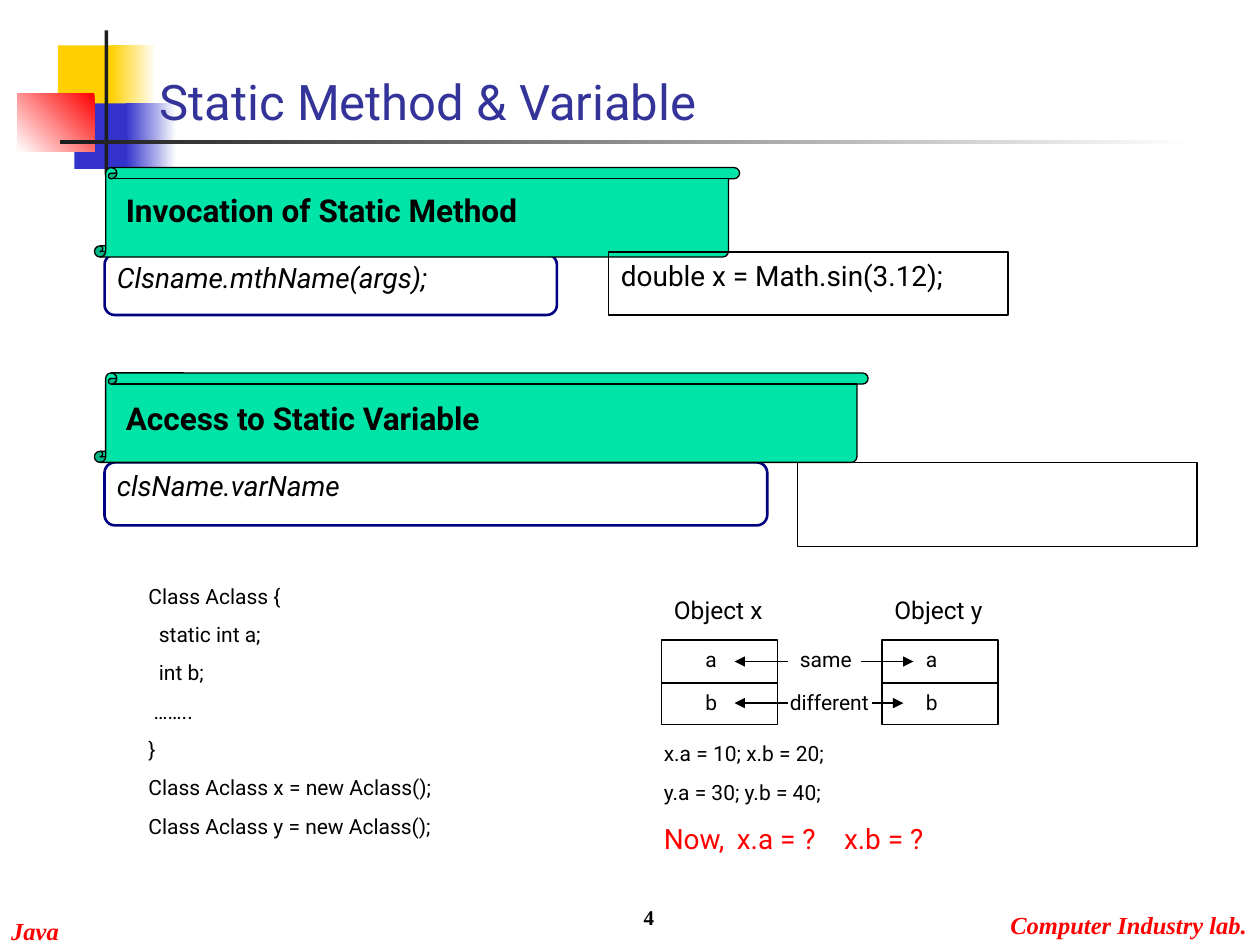
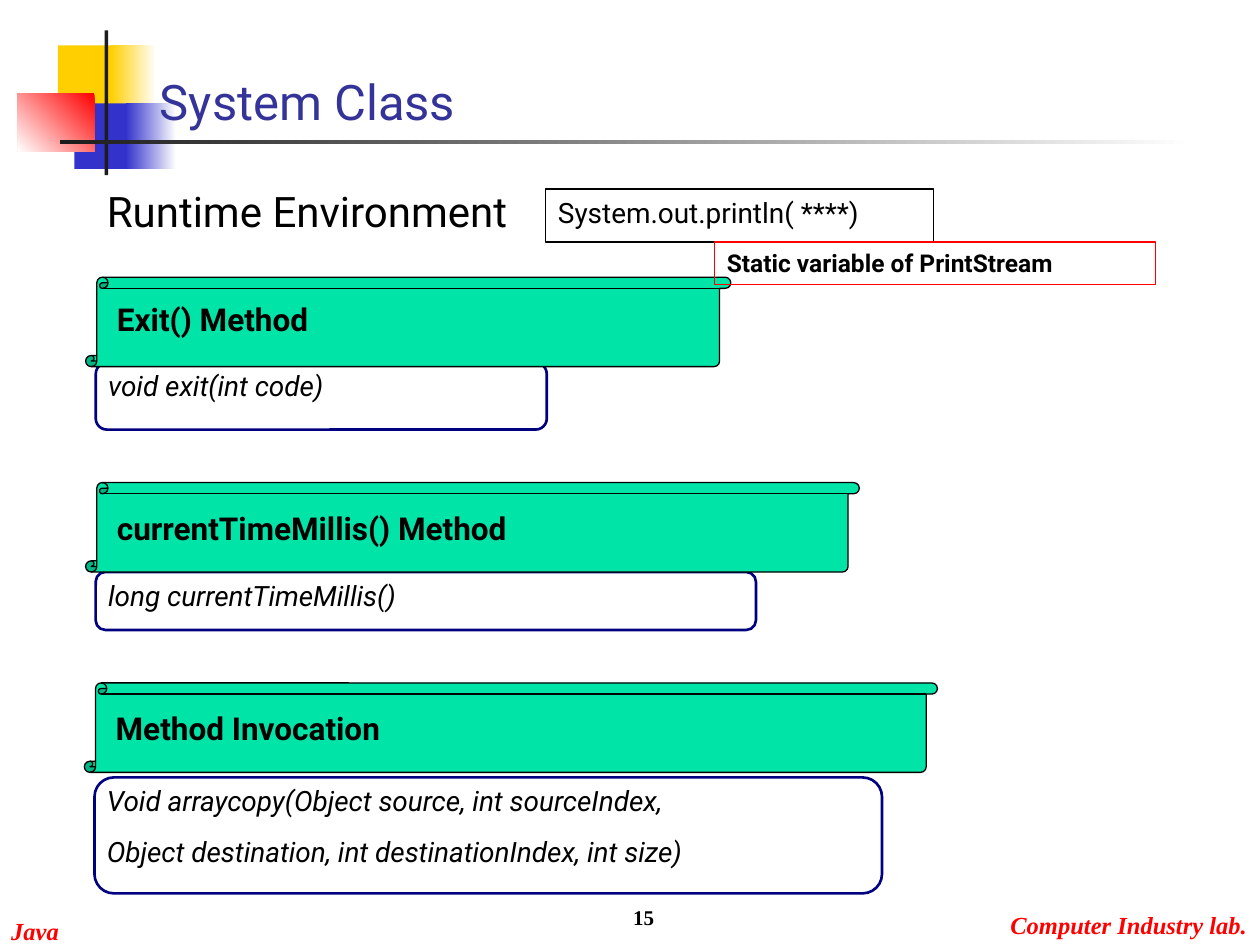
from pptx import Presentation
from pptx.dml.color import RGBColor
from pptx.enum.shapes import MSO_CONNECTOR, MSO_SHAPE as SHAPE
from pptx.enum.text import MSO_ANCHOR as ANCHOR, PP_ALIGN as ALIGN
from pptx.oxml.ns import qn
from pptx.util import Inches, Pt
from lxml.etree import SubElement

BLACK = RGBColor(0x00, 0x00, 0x00)
WHITE = RGBColor(0xFF, 0xFF, 0xFF)
RED = RGBColor(0xFF, 0x00, 0x00)
YELLOW = RGBColor(0xFF, 0xCF, 0x01)
BLUE = RGBColor(0x33, 0x33, 0xCC)
TITLE_BLUE = RGBColor(0x33, 0x33, 0x99)
NAVY = RGBColor(0x00, 0x00, 0x80)
CHARCOAL = RGBColor(0x1C, 0x1C, 0x1C)
GREEN = RGBColor(0x00, 0xE4, 0xA8)
SANS, SERIF = "Roboto", "Times New Roman"


def add_shape(slide, kind, at, fill=None, line=None, line_width=0.75, angle=None):
    """Add a preset shape; fill is one colour, or two colours with an angle."""
    shape = slide.shapes.add_shape(kind, *map(Inches, at))
    shape.shadow.inherit = False
    if fill is None:
        shape.fill.background()
    elif angle is None:
        shape.fill.solid()
        shape.fill.fore_color.rgb = fill
    else:
        shape.fill.gradient()
        shape.fill.gradient_angle = angle
        for stop, color in zip(shape.fill.gradient_stops, fill):
            stop.color.rgb = color
    if line is None:
        shape.line.fill.background()
    else:
        shape.line.color.rgb = line
        shape.line.width = Pt(line_width)
    return shape


def add_text(slide, at, lines, size, color=BLACK, font=SANS, bold=False, italic=False,
             align=ALIGN.LEFT, anchor=ANCHOR.TOP, wrap=True):
    """Add a text box; later lines get space in proportion to their size."""
    box = slide.shapes.add_textbox(*map(Inches, at))
    frame = box.text_frame
    frame.word_wrap = wrap
    frame.vertical_anchor = anchor
    frame.text = "\n".join(lines)
    for index, paragraph in enumerate(frame.paragraphs):
        paragraph.alignment = align
        if index:
            paragraph.space_before = Pt(size * 0.625)
        paragraph.font.size = Pt(size)
        paragraph.font.name = font
        paragraph.font.color.rgb = color
        paragraph.font.bold = bold
        paragraph.font.italic = italic
    return box


presentation = Presentation()
presentation.slide_width, presentation.slide_height = Inches(10), Inches(7.5)

# Decoration on every slide: place, fill, gradient angle
DECORATION = [
    ((0.46, 0.36, 0.48, 0.52), YELLOW, None),
    ((0.88, 0.36, 0.36, 0.52), (WHITE, YELLOW), 180),
    ((0.59, 0.82, 0.46, 0.52), BLUE, None),
    ((1, 0.82, 0.4, 0.52), (WHITE, BLUE), 180),
    ((0.14, 0.74, 0.61, 0.46), (RED, WHITE), 225),
    ((0.83, 0.24, 0.03, 1.15), CHARCOAL, None),
    ((0.48, 1.11, 9, 0.03), (WHITE, CHARCOAL), 180),
]
FOOTERS = [("Java", (-0.01, 7.22, 0.58, 0.34)),
           ("Computer Industry lab.", (7.92, 7.17, 2.08, 0.34))]

# Sections: heading, its top, scroll (left, top, width), signature box, signature
PAGES = [
    ("Static Method & Variable", "4", [
        ("Invocation of Static Method", 1.47, (0.75, 1.33, 5.12),
         (0.83, 2.02, 3.59, 0.48), ["Clsname.mthName(args);"]),
        ("Access to Static Variable", 3.12, (0.75, 2.96, 6.14),
         (0.83, 3.67, 5.26, 0.5), ["clsName.varName"]),
    ]),
    ("System Class", "15", [
        ("Exit() Method", 2.33, (0.68, 2.2, 5.12),
         (0.76, 2.88, 3.58, 0.53), ["void exit(int code)"]),
        ("currentTimeMillis() Method", 3.99, (0.68, 3.83, 6.14),
         (0.76, 4.54, 5.24, 0.46), ["long currentTimeMillis()"]),
        ("Method Invocation", 5.58, (0.67, 5.42, 6.77),
         (0.75, 6.17, 6.25, 0.92),
         ["Void arraycopy(Object source, int sourceIndex,",
          "Object destination, int destinationIndex, int size)"]),
    ]),
]

# Frame, title, number and sections of both slides
for title, number, sections in PAGES:
    slide = presentation.slides.add_slide(presentation.slide_layouts[6])
    for place, fill, angle in DECORATION:
        add_shape(slide, SHAPE.RECTANGLE, place, fill, angle=angle)
    for footer, place in FOOTERS:
        add_text(slide, place, [footer], 14, RED, SERIF, bold=True, italic=True, wrap=False)
    add_text(slide, (1.17, 0.5, 8.08, 0.58), [title], 28, TITLE_BLUE, anchor=ANCHOR.BOTTOM)
    add_text(slide, (3.21, 6.93, 2.08, 0.5), [number], 12, font=SERIF, bold=True,
             align=ALIGN.RIGHT, anchor=ANCHOR.BOTTOM)
    for heading, heading_top, (left, top, width), box, signature in sections:
        add_shape(slide, SHAPE.ROUNDED_RECTANGLE, box, line=NAVY, line_width=1.5)
        add_text(slide, box, signature, 16, italic=True)
        add_shape(slide, SHAPE.VERTICAL_SCROLL, (left, top, width, 0.71), GREEN, BLACK)
        add_text(slide, (left + 0.15, heading_top, width - 0.24, 0.4), [heading], 18, bold=True)

static_slide, system_slide = presentation.slides

# Static slide: example boxes
add_text(static_slide, (4.83, 2, 3.15, 0.37), ["double x = Math.sin(3.12);"], 16)
for place in [(4.83, 2, 3.17, 0.5), (6.33, 3.67, 3.17, 0.67)]:
    add_shape(static_slide, SHAPE.RECTANGLE, place, line=BLACK)

# Static slide: class listing
add_text(static_slide, (1.08, 4.58, 2.75, 2.43), [
    "Class Aclass {",
    "  static int a;",
    "  int b;",
    " ……..",
    "}",
    "Class Aclass x = new Aclass();",
    "Class Aclass y = new Aclass();",
], 12)

# Static slide: the two objects and their fields
connections = []
for name, left in [("Object x", 5.25), ("Object y", 7)]:
    add_shape(static_slide, SHAPE.RECTANGLE, (left, 5.08, 0.92, 0.67), line=BLACK)
    add_text(static_slide, (left, 4.67, 0.92, 0.57), [name], 14)
    connections.append((left, 5.42, left + 0.92, False))
    for field, top in [("a", 5.08), ("b", 5.42)]:
        add_text(static_slide, (left + 0.25, top, 0.33, 0.3), [field], 12)
add_text(static_slide, (6.25, 5.08, 0.75, 0.3), ["same"], 12)
add_text(static_slide, (6.17, 5.42, 0.83, 0.3), ["different"], 12)

# Static slide: field dividers and arrows (start, height, end, arrowhead)
connections += [(6.25, 5.25, 5.83, True), (6.83, 5.25, 7.25, True),
                (6.25, 5.58, 5.83, True), (6.92, 5.58, 7.17, True)]
for start, height, end, has_arrow in connections:
    connector = static_slide.shapes.add_connector(
        MSO_CONNECTOR.STRAIGHT, Inches(start), Inches(height), Inches(end), Inches(height))
    connector.line.color.rgb = BLACK
    connector.line.width = Pt(0.75)
    if has_arrow:
        SubElement(connector.line._get_or_add_ln(), qn("a:tailEnd"), type="triangle")
    SubElement(connector._element.spPr, qn("a:effectLst"))

# Static slide: assignments and question
quiz = add_text(static_slide, (5.17, 5.83, 3.25, 1.01), [
    "x.a = 10; x.b = 20;",
    "y.a = 30; y.b = 40;",
    "Now,\tx.a = ?\tx.b = ?",
], 12)
question = quiz.text_frame.paragraphs[-1]
question.space_before = Pt(10)
question.font.size = Pt(16)
question.font.color.rgb = RED
tab_list = question._p.get_or_add_pPr().find(qn("a:defRPr"))
tabs = SubElement(question._p.pPr, qn("a:tabLst"))
tab_list.addprevious(tabs)
for position in (0.58, 1.43):
    SubElement(tabs, qn("a:tab"), pos=str(Inches(position)), algn="l")

# System slide: runtime environment example
add_text(system_slide, (0.75, 1.42, 3.58, 0.9), ["Runtime Environment"], 24)
add_text(system_slide, (4.33, 1.5, 2.92, 0.37), ["System.out.println( ****)"], 16)
add_shape(system_slide, SHAPE.RECTANGLE, (4.33, 1.5, 3.08, 0.42), line=BLACK)
note = add_text(system_slide, (5.67, 1.92, 3.5, 0.34), ["Static variable of PrintStream"],
                14, bold=True)
note.line.color.rgb = RED
note.line.width = Pt(0.75)

presentation.save("out.pptx")
